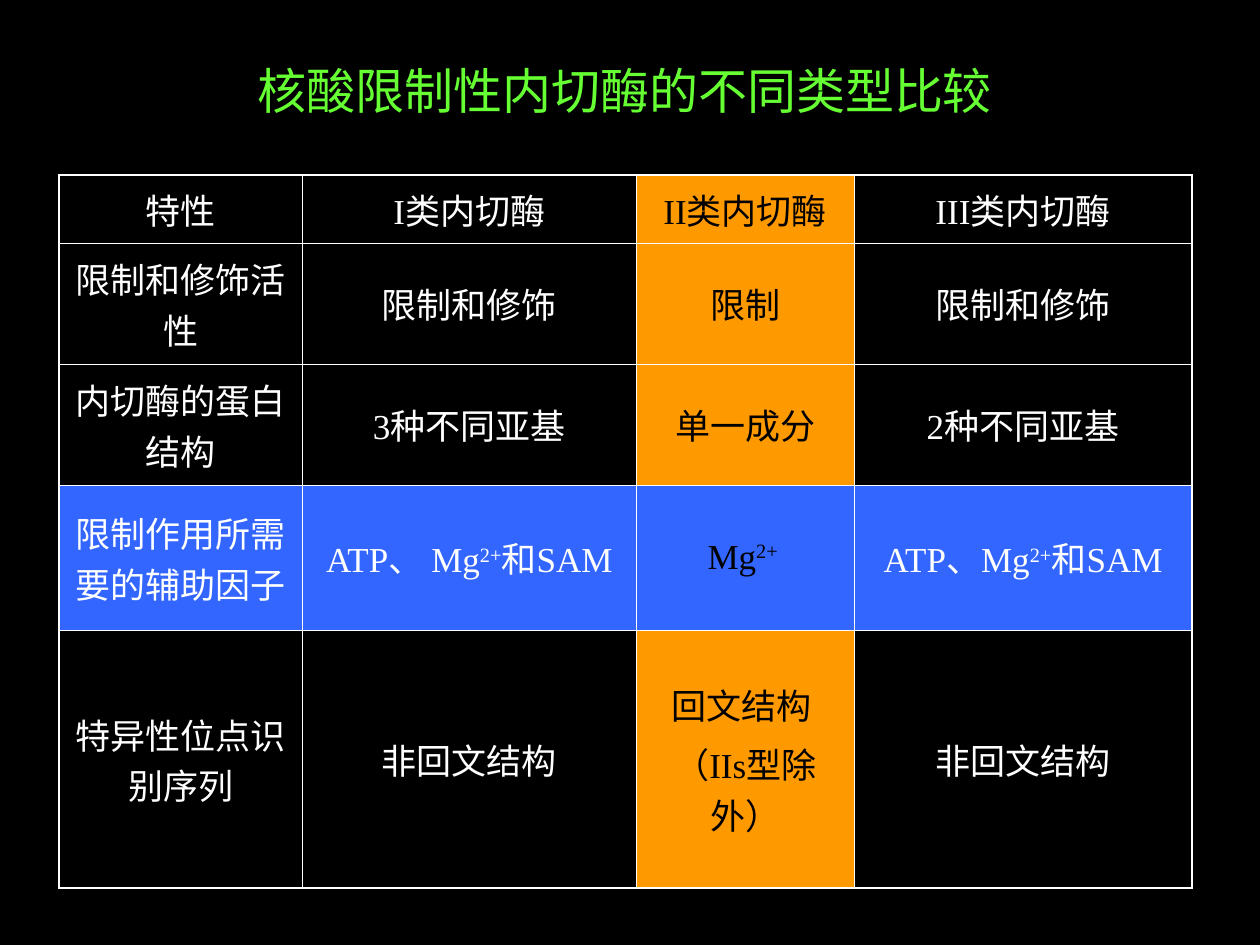
import pptx
import pptx.util
import pptx.dml.color
import pptx.enum.text
import pptx.oxml.ns
from lxml import etree

TITLE = "核酸限制性内切酶的不同类型比较"
# "^" switches superscript on and off; a line break starts a new paragraph.
COMPARISON = [
    ["特性", "I类内切酶", "II类内切酶", "III类内切酶"],
    ["限制和修饰活性", "限制和修饰", "限制", "限制和修饰"],
    ["内切酶的蛋白结构", "3种不同亚基", "单一成分", "2种不同亚基"],
    ["限制作用所需要的辅助因子", "ATP、 Mg^2+^和SAM", "Mg^2+ ", "ATP、Mg^2+^和SAM"],
    ["特异性位点识别序列", "非回文结构", "回文结构 \n（IIs型除外）", "非回文结构"],
]
TYPE_II_COLUMN, COFACTOR_ROW = 2, 3

SLIDE = (10, 7.5)
TITLE_BOX = (0.92, 0.42, 8.08, 0.58)
TABLE_ORIGIN = (0.47, 1.39)
COLUMNS = [1.93, 2.65, 1.73, 2.68]
ROWS = [0.54, 0.96, 0.96, 1.15, 2.05]

THEME = {
    "background": "000000", "title": "66FF33", "text": "FFFFFF", "dark text": "000000",
    "type II": "FF9900", "cofactor": "3366FF", "border": "FFFFFF",
    "title size": 28, "text size": 20, "paragraph gap": 5,
    "outer line": 1.08, "inner line": 0.45,
    "cjk font": "Noto Sans CJK SC", "latin font": "Times New Roman",
}
MARGINS = {"margin_left": 0.1, "margin_right": 0.1, "margin_top": 0.05, "margin_bottom": 0.05}

inches, points = pptx.util.Inches, pptx.util.Pt
qn = pptx.oxml.ns.qn


def theme_color(name):
    return pptx.dml.color.RGBColor.from_string(THEME[name])


def set_margins(holder):
    for side, width in MARGINS.items():
        setattr(holder, side, inches(width))
    holder.vertical_anchor = pptx.enum.text.MSO_ANCHOR.MIDDLE


def write(frame, text, size, color, latin):
    """Fill a text frame with centred paragraphs, reading the ^ superscript marks."""
    for number, line in enumerate(text.split("\n")):
        paragraph = frame.add_paragraph() if number else frame.paragraphs[0]
        paragraph.alignment = pptx.enum.text.PP_ALIGN.CENTER
        if number:
            paragraph.space_before = points(THEME["paragraph gap"])
        for part, words in enumerate(line.split("^")):
            run = paragraph.add_run()
            run.text = words
            run.font.color.rgb = theme_color(color)
            for attribute, value in {"size": points(THEME[size]), "name": THEME[latin],
                                     "bold": False}.items():
                setattr(run.font, attribute, value)
            properties = run.font._element
            etree.SubElement(properties, qn("a:ea"), typeface=THEME["cjk font"])
            if part % 2:
                properties.set("baseline", "30000")


def draw_borders(cell, outer_edges):
    properties = cell._tc.get_or_add_tcPr()
    for position, (edge, is_outer) in enumerate(outer_edges.items()):
        width = THEME["outer line" if is_outer else "inner line"]
        line = etree.Element(qn(f"a:ln{edge}"), w=str(int(points(width))))
        fill = etree.SubElement(line, qn("a:solidFill"))
        etree.SubElement(fill, qn("a:srgbClr"), val=THEME["border"])
        properties.insert(position, line)


def add_title(slide):
    title = slide.shapes.title
    title.left, title.top, title.width, title.height = map(inches, TITLE_BOX)
    set_margins(title.text_frame)
    title.text_frame.word_wrap = True
    title.text_frame.auto_size = pptx.enum.text.MSO_AUTO_SIZE.NONE
    write(title.text_frame, TITLE, "title size", "title", "cjk font")


def add_comparison(slide):
    extent = (*TABLE_ORIGIN, sum(COLUMNS), sum(ROWS))
    table = slide.shapes.add_table(len(ROWS), len(COLUMNS), *map(inches, extent)).table
    table.first_row = table.horz_banding = False
    for column, width in zip(table.columns, COLUMNS):
        column.width = inches(width)
    for row, height in zip(table.rows, ROWS):
        row.height = inches(height)

    for r, texts in enumerate(COMPARISON):
        for c, text in enumerate(texts):
            cell = table.cell(r, c)
            set_margins(cell)
            is_type_ii = c == TYPE_II_COLUMN
            write(cell.text_frame, text, "text size",
                  "dark text" if is_type_ii else "text", "latin font")
            if r == COFACTOR_ROW or is_type_ii:
                cell.fill.solid()
                cell.fill.fore_color.rgb = theme_color(
                    "cofactor" if r == COFACTOR_ROW else "type II")
            else:
                cell.fill.background()
            draw_borders(cell, {"L": c == 0, "R": c == len(COLUMNS) - 1,
                                "T": r == 0, "B": r == len(ROWS) - 1})


def main():
    deck = pptx.Presentation()
    deck.slide_width, deck.slide_height = map(inches, SLIDE)
    slide = deck.slides.add_slide(deck.slide_layouts.get_by_name("Title Only"))
    slide.background.fill.solid()
    slide.background.fill.fore_color.rgb = theme_color("background")
    add_title(slide)
    add_comparison(slide)
    deck.save("out.pptx")


if __name__ == "__main__":
    main()
